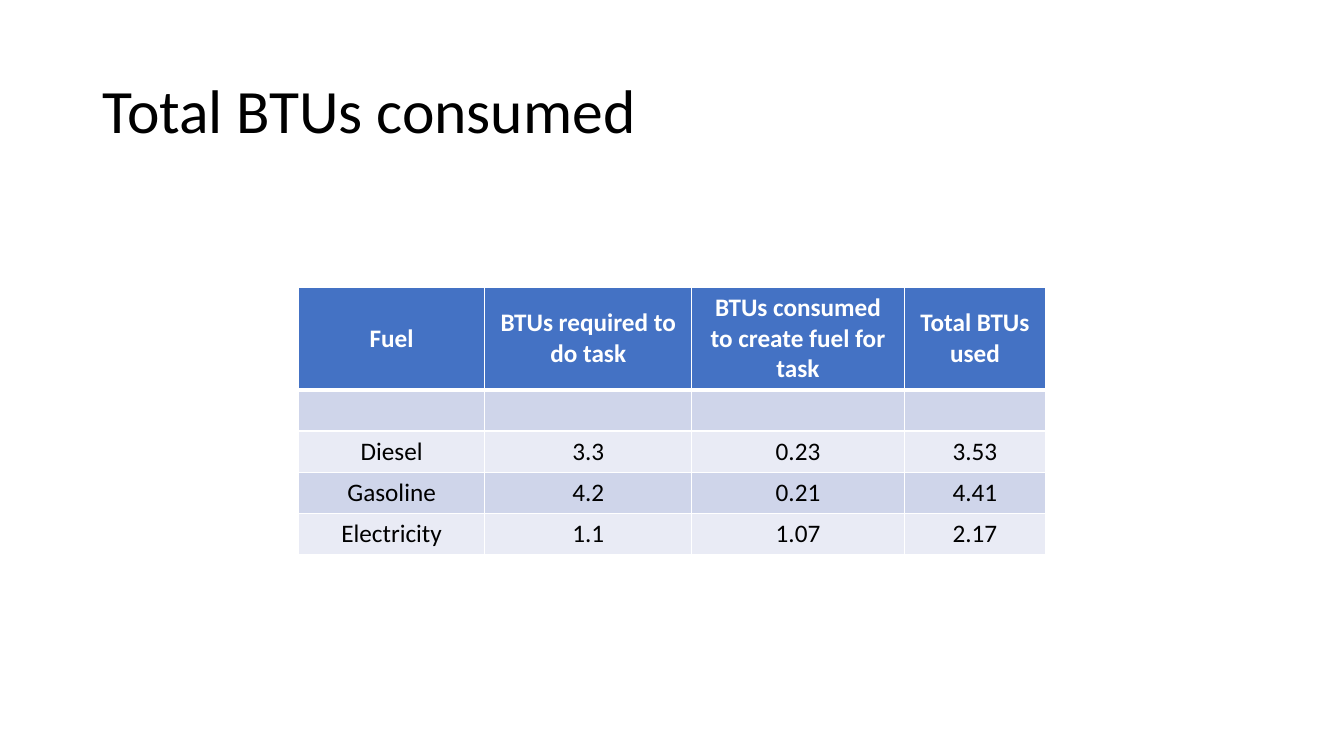
from dataclasses import dataclass

from lxml import etree
from pptx import Presentation, util as u
from pptx.dml import color as dml
from pptx.enum import text as txt
from pptx.oxml import ns

HUES = {"head": "4472C4", "dark": "CFD5EA", "light": "E9EBF5",
        "white": "FFFFFF", "black": "000000"}
WIDTHS = (4.7, 5.21, 5.36, 3.56)
HEAD, ROW = 2.5, 1.04


@dataclass
class Fuel:
    name: str
    task: str
    make: str
    total: str

    def cells(self) -> tuple:
        return self.name, self.task, self.make, self.total


ROWS = [
    Fuel("Fuel", "BTUs required to do task",
         "BTUs consumed to create fuel for task", "Total BTUs used"),
    Fuel("", "", "", ""),
    Fuel("Diesel", "3.3", "0.23", "3.53"),
    Fuel("Gasoline", "4.2", "0.21", "4.41"),
    Fuel("Electricity", "1.1", "1.07", "2.17"),
]


def style(font, size: int, hue: str, bold: bool) -> None:
    form = {"name": "Calibri", "size": u.Pt(size), "bold": bold}
    for key, value in form.items():
        setattr(font, key, value)
    font.color.rgb = dml.RGBColor.from_string(HUES[hue])


def border(cell, row: int) -> None:
    sides = {"L": 1, "R": 1, "T": 3 if row == 1 else 1, "B": 3 if row == 0 else 1}
    props = cell._tc.get_or_add_tcPr()
    for side, width in sides.items():
        line = etree.SubElement(props, ns.qn(f"a:ln{side}"), w=str(u.Pt(width)))
        fill = etree.SubElement(line, ns.qn("a:solidFill"))
        etree.SubElement(fill, ns.qn("a:srgbClr"), val=HUES["white"])


def paint(cell, words: str, row: int) -> None:
    border(cell, row)
    hue = "head" if row == 0 else "dark" if row % 2 else "light"
    cell.fill.solid()
    cell.fill.fore_color.rgb = dml.RGBColor.from_string(HUES[hue])
    cell.vertical_anchor = txt.MSO_ANCHOR.MIDDLE
    para = cell.text_frame.paragraphs[0]
    para.alignment = txt.PP_ALIGN.CENTER
    if words:
        run = para.add_run()
        run.text = words
        style(run.font, 18, "black" if row else "white", row == 0)


def grid(slide) -> None:
    high = HEAD + ROW * (len(ROWS) - 1)
    table = slide.shapes.add_table(
        len(ROWS), len(WIDTHS), u.Cm(7.52), u.Cm(7.24),
        u.Cm(sum(WIDTHS)), u.Cm(high)).table
    for col, width in zip(table.columns, WIDTHS):
        col.width = u.Cm(width)
    for r, fuel in enumerate(ROWS):
        table.rows[r].height = u.Cm(ROW if r else HEAD)
        for c, words in enumerate(fuel.cells()):
            paint(table.cell(r, c), words, r)


def title(slide, words: str) -> None:
    head = slide.shapes.title
    box = {"left": 2.33, "top": 1.01, "width": 29.21, "height": 3.68}
    for key, value in box.items():
        setattr(head, key, u.Cm(value))
    frame = head.text_frame
    frame.text = words
    frame.vertical_anchor = txt.MSO_ANCHOR.MIDDLE
    para = frame.paragraphs[0]
    para.alignment = txt.PP_ALIGN.LEFT
    para.line_spacing = 0.9
    style(para.runs[0].font, 44, "black", False)


def main() -> None:
    deck = Presentation()
    deck.slide_width, deck.slide_height = u.Cm(33.87), u.Cm(19.05)
    slide = deck.slides.add_slide(deck.slide_layouts[5])
    title(slide, "Total BTUs consumed")
    grid(slide)
    deck.save("out.pptx")


if __name__ == "__main__":
    main()
